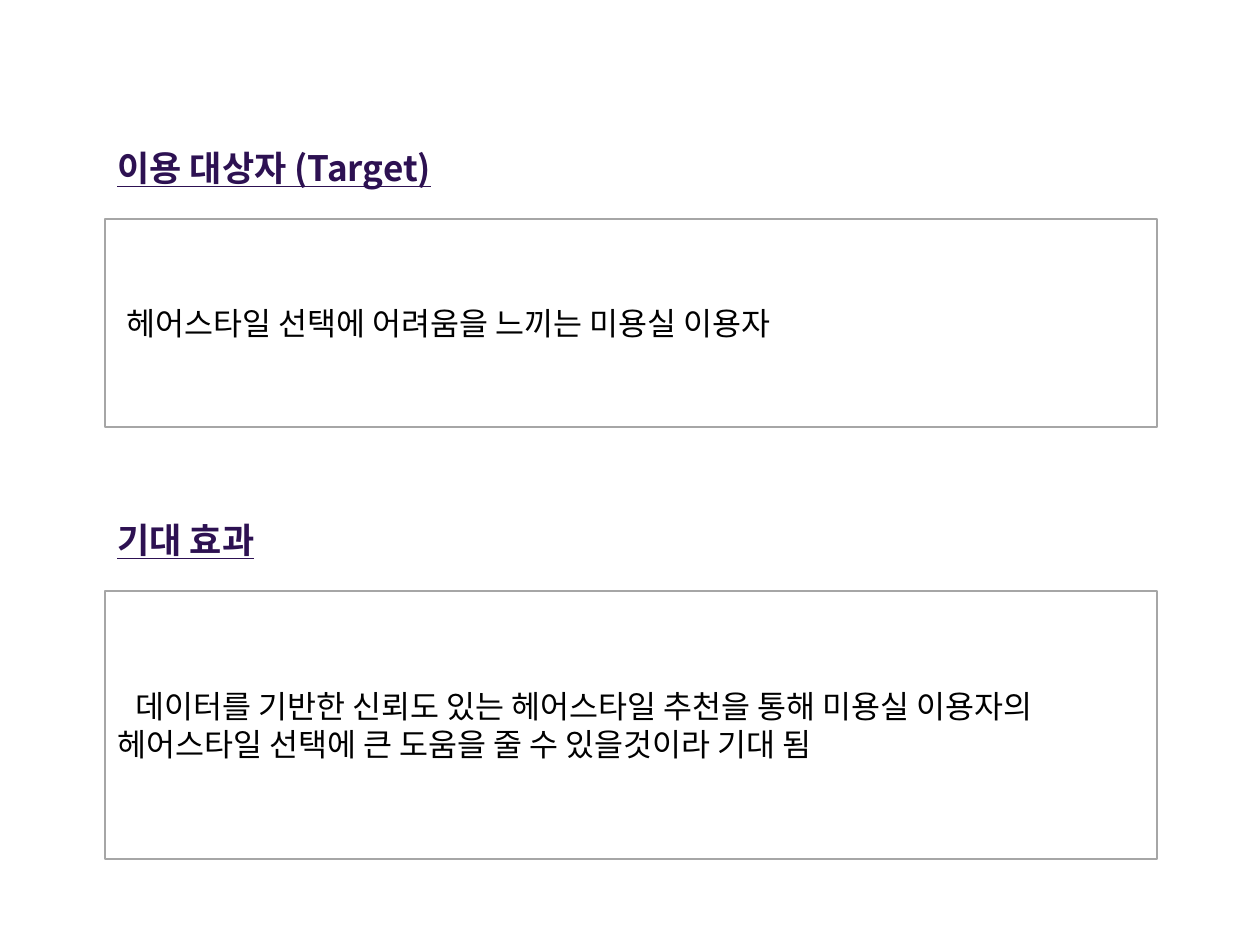
"""Build a slide naming the target users and the expected effect."""
from pptx import Presentation, util as u
from pptx.dml.color import RGBColor
from pptx.enum import shapes, text
from pptx.oxml.ns import qn
from lxml import etree

FONT = "Noto Sans CJK KR"
LEFT, WIDTH = 105, 1052


def px(pixels):
    return u.Emu(pixels * 914400 // 126)


def write(box, lines, size, color, heading=False, indent=0):
    frame = box.text_frame
    frame.word_wrap = True
    frame.text = "\n".join(lines)
    for paragraph in frame.paragraphs:
        font = paragraph.font
        font.name, font.size = FONT, u.Pt(size)
        font.bold = font.underline = heading
        font.color.rgb = RGBColor.from_string(color)
        etree.SubElement(font._element, qn("a:ea"), typeface=FONT)
    frame.paragraphs[0]._p.get_or_add_pPr().set("indent", str(px(indent)))
    return frame


deck = Presentation()
deck.slide_width, deck.slide_height = px(1260), px(945)
slide = deck.slides.add_slide(deck.slide_layouts[6])

sections = [
    ("이용 대상자 (Target)", 140, 208, 9,
     ["헤어스타일 선택에 어려움을 느끼는 미용실 이용자"]),
    ("기대 효과", 512, 268, 18,
     ["데이터를 기반한 신뢰도 있는 헤어스타일 추천을 통해 미용실 이용자의",
      "헤어스타일 선택에 큰 도움을 줄 수 있을것이라 기대 됨"]),
]

for title, top, height, indent, lines in sections:
    heading = slide.shapes.add_textbox(px(LEFT), px(top), px(374), px(55))
    write(heading, [title], 20, "2D1152", heading=True)

    area = px(LEFT), px(top + 79), px(WIDTH), px(height)
    border = slide.shapes.add_shape(shapes.MSO_SHAPE.RECTANGLE, *area)
    border.shadow.inherit = False
    border.fill.background()
    border.line.color.rgb = RGBColor.from_string("A6A6A6")
    border.line.width = u.Pt(1.5)

    content = write(slide.shapes.add_textbox(*area), lines, 18, "000000", indent=indent)
    content.vertical_anchor = text.MSO_ANCHOR.MIDDLE

deck.save("out.pptx")
